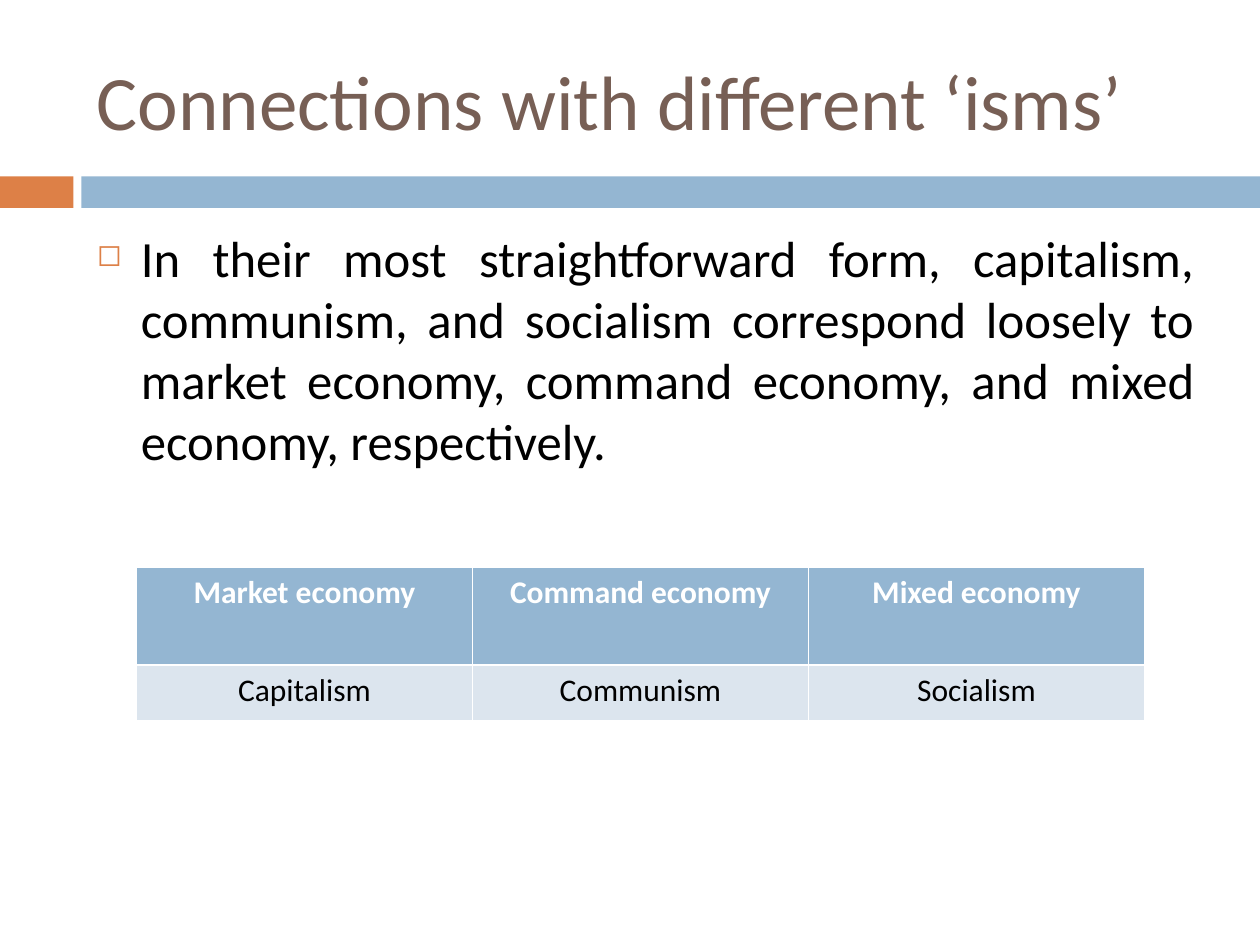
from dataclasses import dataclass

from lxml.etree import SubElement
from pptx import Presentation
from pptx.dml.color import RGBColor
from pptx.enum.shapes import MSO_SHAPE
from pptx.enum.text import MSO_ANCHOR, PP_ALIGN
from pptx.oxml.ns import qn
from pptx.util import Pt


@dataclass(frozen=True)
class Theme:
    font: str = "Calibri"
    title: str = "775F55"
    text: str = "000000"
    white: str = "FFFFFF"
    orange: str = "DD8047"
    blue: str = "94B6D2"
    pale_blue: str = "DCE5EE"
    title_size: float = 44
    body_size: float = 29
    table_size: float = 18
    thin_line: float = 0.45
    thick_line: float = 1.47


THEME = Theme()
ECONOMIES = [
    ("Market economy", "Command economy", "Mixed economy"),
    ("Capitalism", "Communism", "Socialism"),
]


def add_run(p, text, size, color, bold=False):
    r = p.add_run()
    r.text = text
    r.font.name = THEME.font
    r.font.size = Pt(size)
    r.font.bold = bold
    r.font.color.rgb = RGBColor.from_string(color)


def add_text_frame(slide, box):
    tf = slide.shapes.add_textbox(*map(Pt, box)).text_frame
    tf.word_wrap = True
    return tf


def add_band(slide, box, accent_width, gap):
    """Draw a short accent bar, a gap and a long bar across the box."""
    left, top, width, height = box
    start = accent_width + gap
    bars = [(left, accent_width, THEME.orange),
            (left + start, width - start, THEME.blue)]
    for x, w, color in bars:
        s = slide.shapes.add_shape(MSO_SHAPE.RECTANGLE, Pt(x), Pt(top), Pt(w), Pt(height))
        s.shadow.inherit = False
        s.fill.solid()
        s.fill.fore_color.rgb = RGBColor.from_string(color)
        s.line.fill.background()


def add_title(slide, box, text):
    tf = add_text_frame(slide, box)
    tf.vertical_anchor = MSO_ANCHOR.MIDDLE
    add_run(tf.paragraphs[0], text, THEME.title_size, THEME.title)


def set_bullet(p, char, color, percent, indent):
    pPr = p._p.get_or_add_pPr()
    pPr.set("marL", str(Pt(indent)))
    pPr.set("indent", str(-Pt(indent)))
    SubElement(SubElement(pPr, qn("a:buClr")), qn("a:srgbClr"), val=color)
    SubElement(pPr, qn("a:buSzPct"), val=str(percent * 1000))
    SubElement(pPr, qn("a:buChar"), char=char)


def add_body(slide, box, text):
    p = add_text_frame(slide, box).paragraphs[0]
    p.alignment = PP_ALIGN.JUSTIFY
    p.space_before = Pt(7)
    set_bullet(p, "◻", THEME.orange, 60, 25.2)
    add_run(p, text, THEME.body_size, THEME.text)


def set_borders(cell, widths):
    tcPr = cell._tc.get_or_add_tcPr()
    for side, width in zip("LRTB", widths):
        ln = SubElement(tcPr, qn(f"a:ln{side}"), w=str(Pt(width)))
        SubElement(SubElement(ln, qn("a:solidFill")), qn("a:srgbClr"), val=THEME.white)


def add_economy_table(slide, box, row_heights):
    left, top, width, height = map(Pt, box)
    table = slide.shapes.add_table(
        len(ECONOMIES), len(ECONOMIES[0]), left, top, width, height).table
    thin, thick = THEME.thin_line, THEME.thick_line
    for i, (labels, row_height) in enumerate(zip(ECONOMIES, row_heights)):
        header = i == 0
        table.rows[i].height = Pt(row_height)
        for j, label in enumerate(labels):
            cell = table.cell(i, j)
            set_borders(cell, (thin, thin, thin, thick) if header else (thin, thin, thick, thin))
            cell.fill.solid()
            cell.fill.fore_color.rgb = RGBColor.from_string(
                THEME.blue if header else THEME.pale_blue)
            p = cell.text_frame.paragraphs[0]
            p.alignment = PP_ALIGN.CENTER
            add_run(p, label, THEME.table_size,
                    THEME.white if header else THEME.text, header)


def main():
    prs = Presentation()
    prs.slide_width, prs.slide_height = Pt(720), Pt(540)
    slide = prs.slides.add_slide(prs.slide_layouts[6])
    add_band(slide, (0, 100.8, 720, 18), accent_width=42, gap=4.5)
    add_title(slide, (48.25, 18, 642, 78), "Connections with different ‘isms’")
    add_body(slide, (48.25, 126, 642, 354),
             "In their most straightforward form, capitalism, communism, and socialism "
             "correspond loosely to market economy, command economy, and mixed economy, "
             "respectively.")
    add_economy_table(slide, (78, 324, 576, 87.5), row_heights=(56, 31.5))
    prs.save("out.pptx")


if __name__ == "__main__":
    main()
